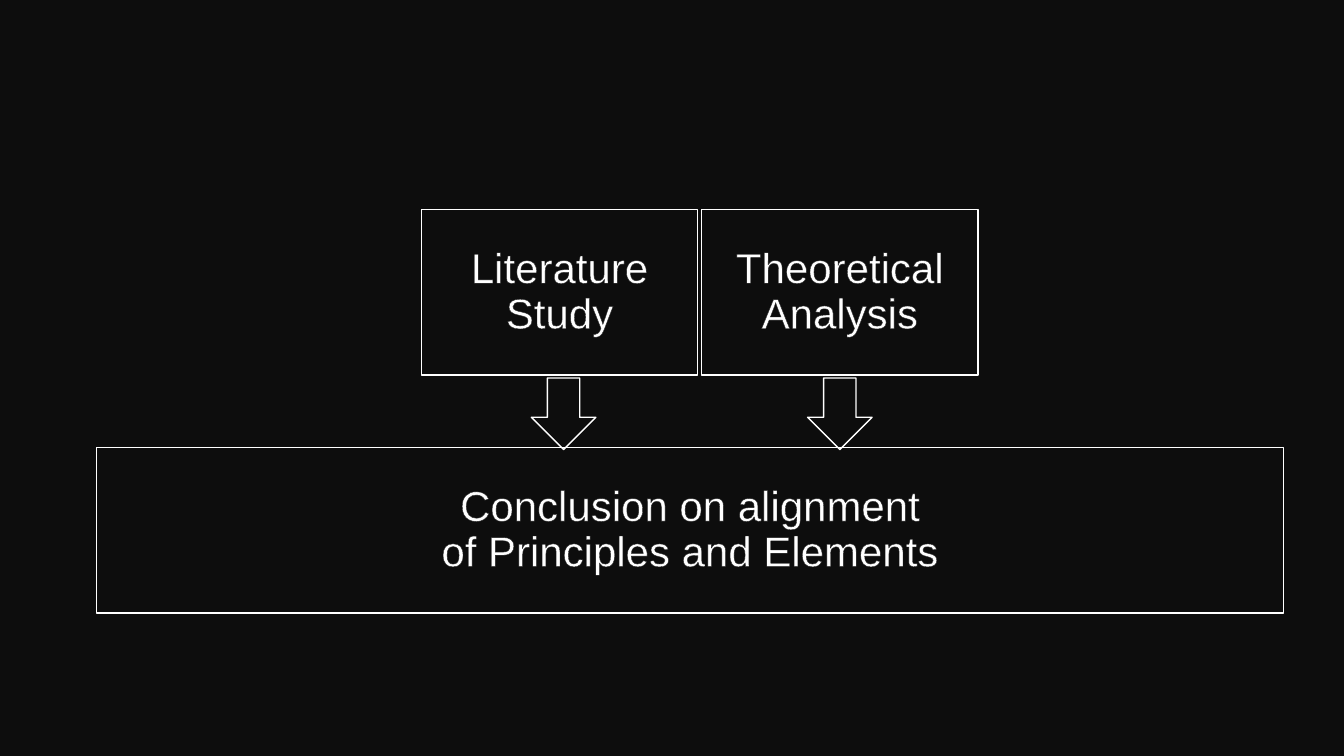
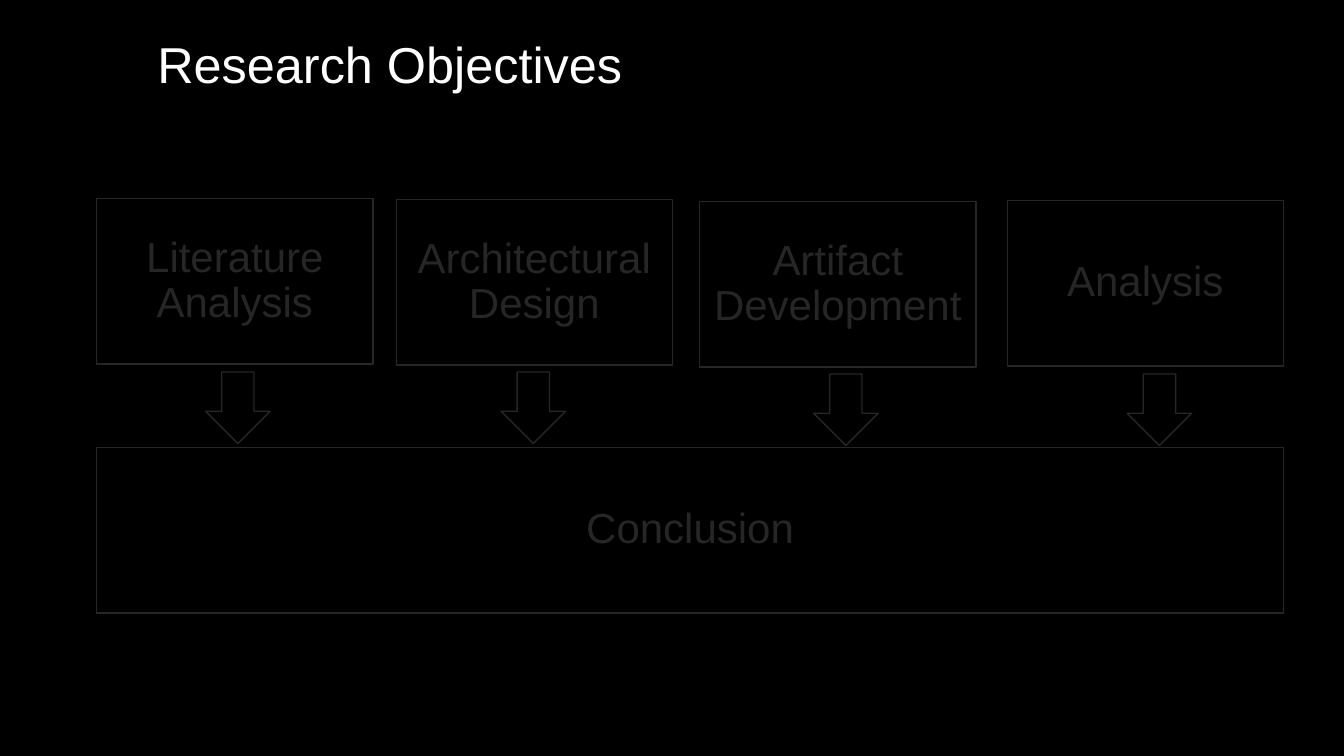
from lxml import etree
from pptx import Presentation
from pptx import util as u
from pptx.dml.color import RGBColor
from pptx.enum import shapes, text
from pptx.oxml.ns import qn

# Shared colours and type
WHITE = RGBColor(0xFF, 0xFF, 0xFF)
CHARCOAL = RGBColor(0x26, 0x26, 0x26)
NEAR_BLACK = RGBColor(0x0D, 0x0D, 0x0D)
BLACK = RGBColor(0, 0, 0)
FONT = "Arial"
TITLE_SIZE, BOX_SIZE = 36, 30
LINE_SPACING = 0.9

# Shared grid, in inches
SLIDE_WIDTH, SLIDE_HEIGHT = 13.33, 7.5
LEFT, CONTENT_WIDTH = 0.96, 11.77
BOX_WIDTH, BOX_HEIGHT = 2.74, 1.64
ARROW_WIDTH, ARROW_HEIGHT = 0.64, 0.71
CONCLUSION_TOP = 4.44
BOX_INSET = 0.12
TITLE_LEFT, TITLE_TOP, TITLE_HEIGHT = 1.56, 0.4, 1.14

# Steps: text, box left, box top, arrow left, arrow top
METHOD_STEPS = [
    ("Literature Study", 4.18, 2.08, 5.27, 3.75),
    ("Theoretical\nAnalysis", 6.96, 2.08, 8.01, 3.75),
]
OBJECTIVE_STEPS = [
    ("Literature Analysis", LEFT, 1.97, 2.04, 3.69),
    ("Architectural Design", 3.93, 1.98, 4.97, 3.69),
    ("Artifact Development", 6.94, 2.0, 8.07, 3.71),
    ("Analysis", 9.99, 1.99, 11.18, 3.71),
]


def set_insets(frame, inset):
    frame.margin_left = frame.margin_right = u.Inches(inset)
    frame.margin_top = frame.margin_bottom = u.Inches(inset)


def write(frame, wording, size, color, alignment):
    """Fill the frame's only paragraph; a newline becomes a line break."""
    frame.word_wrap = True
    paragraph = frame.paragraphs[0]
    paragraph.text = wording
    paragraph.alignment = alignment
    paragraph.line_spacing = LINE_SPACING
    paragraph.font.name = FONT
    paragraph.font.size = u.Pt(size)
    paragraph.font.color.rgb = color
    return paragraph


def outline_text(paragraph, color, width):
    properties = paragraph._p.get_or_add_pPr().get_or_add_defRPr()
    line = etree.Element(qn("a:ln"), w=str(u.Pt(width)))
    fill = etree.SubElement(line, qn("a:solidFill"))
    etree.SubElement(fill, qn("a:srgbClr"), val=str(color))
    properties.insert(0, line)


def add_outline(slide, kind, left, top, width, height, color):
    """Add an unfilled preset shape with a thin line."""
    shape = slide.shapes.add_shape(
        kind, *(u.Inches(value) for value in (left, top, width, height)))
    shape.shadow.inherit = False
    shape.fill.background()
    shape.line.color.rgb = color
    shape.line.width = u.Pt(1)
    return shape


def add_box(slide, wording, left, top, width, color):
    box = add_outline(slide, shapes.MSO_SHAPE.RECTANGLE,
                      left, top, width, BOX_HEIGHT, color)
    frame = box.text_frame
    frame.vertical_anchor = text.MSO_ANCHOR.MIDDLE
    set_insets(frame, BOX_INSET)
    paragraph = write(frame, wording, BOX_SIZE, color, text.PP_ALIGN.CENTER)
    outline_text(paragraph, CHARCOAL, 0.75)


def add_title(slide, wording):
    title = slide.shapes.title
    title.left, title.top = u.Inches(TITLE_LEFT), u.Inches(TITLE_TOP)
    title.width = u.Inches(CONTENT_WIDTH)
    title.height = u.Inches(TITLE_HEIGHT)
    frame = title.text_frame
    frame.auto_size = text.MSO_AUTO_SIZE.NONE
    frame.vertical_anchor = text.MSO_ANCHOR.TOP
    set_insets(frame, 0)
    write(frame, wording, TITLE_SIZE, WHITE, text.PP_ALIGN.LEFT)


def add_flow(slide, steps, conclusion, color):
    """Steps side by side, each pointing down to a full-width conclusion."""
    add_box(slide, conclusion, LEFT, CONCLUSION_TOP, CONTENT_WIDTH, color)
    for wording, box_left, box_top, arrow_left, arrow_top in steps:
        add_box(slide, wording, box_left, box_top, BOX_WIDTH, color)
        add_outline(slide, shapes.MSO_SHAPE.DOWN_ARROW, arrow_left, arrow_top,
                    ARROW_WIDTH, ARROW_HEIGHT, color)


def add_slide(presentation, layout_name, background):
    layout = presentation.slide_layouts.get_by_name(layout_name)
    slide = presentation.slides.add_slide(layout)
    slide.background.fill.solid()
    slide.background.fill.fore_color.rgb = background
    return slide


def main():
    presentation = Presentation()
    presentation.slide_width = u.Inches(SLIDE_WIDTH)
    presentation.slide_height = u.Inches(SLIDE_HEIGHT)

    # Method
    method = add_slide(presentation, "Blank", NEAR_BLACK)
    add_flow(method, METHOD_STEPS,
             "Conclusion on alignment\nof Principles and Elements", WHITE)

    # Objectives
    objectives = add_slide(presentation, "Title Only", BLACK)
    add_title(objectives, "Research Objectives")
    add_flow(objectives, OBJECTIVE_STEPS, "Conclusion", CHARCOAL)

    presentation.save("out.pptx")


if __name__ == "__main__":
    main()
